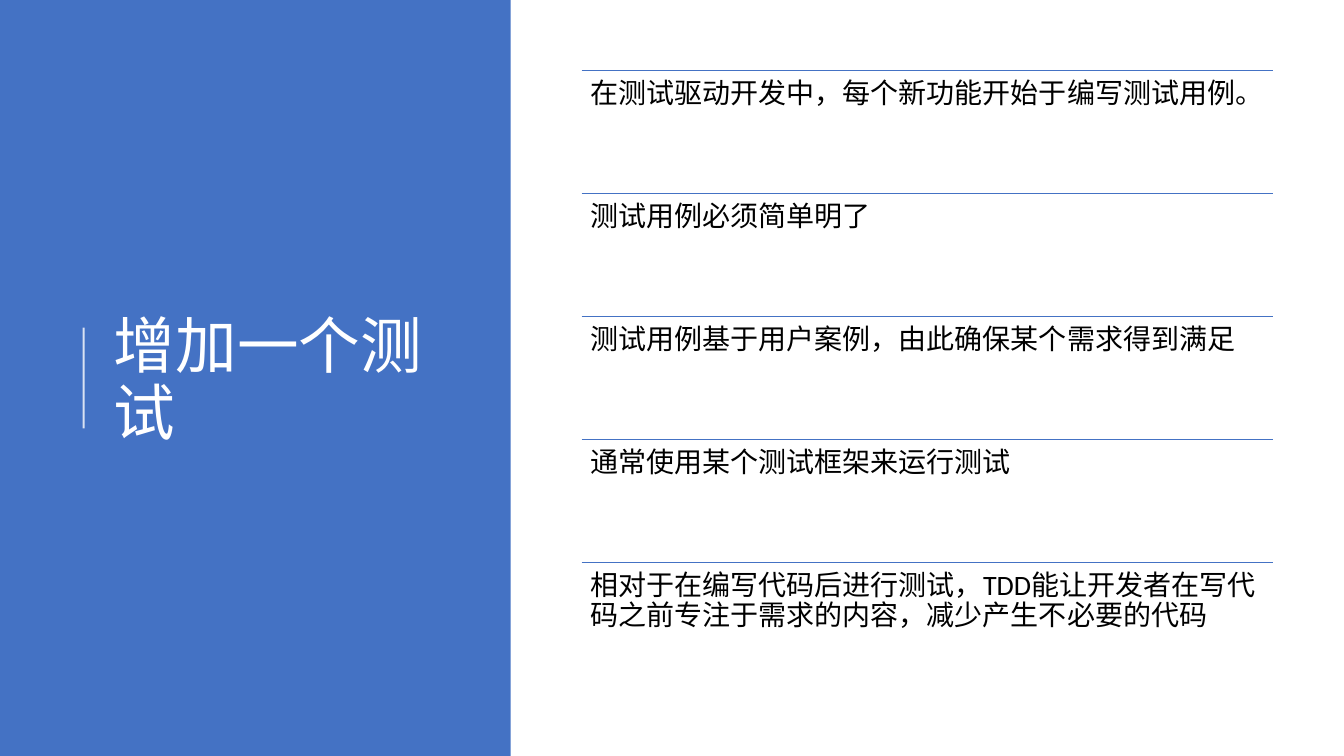
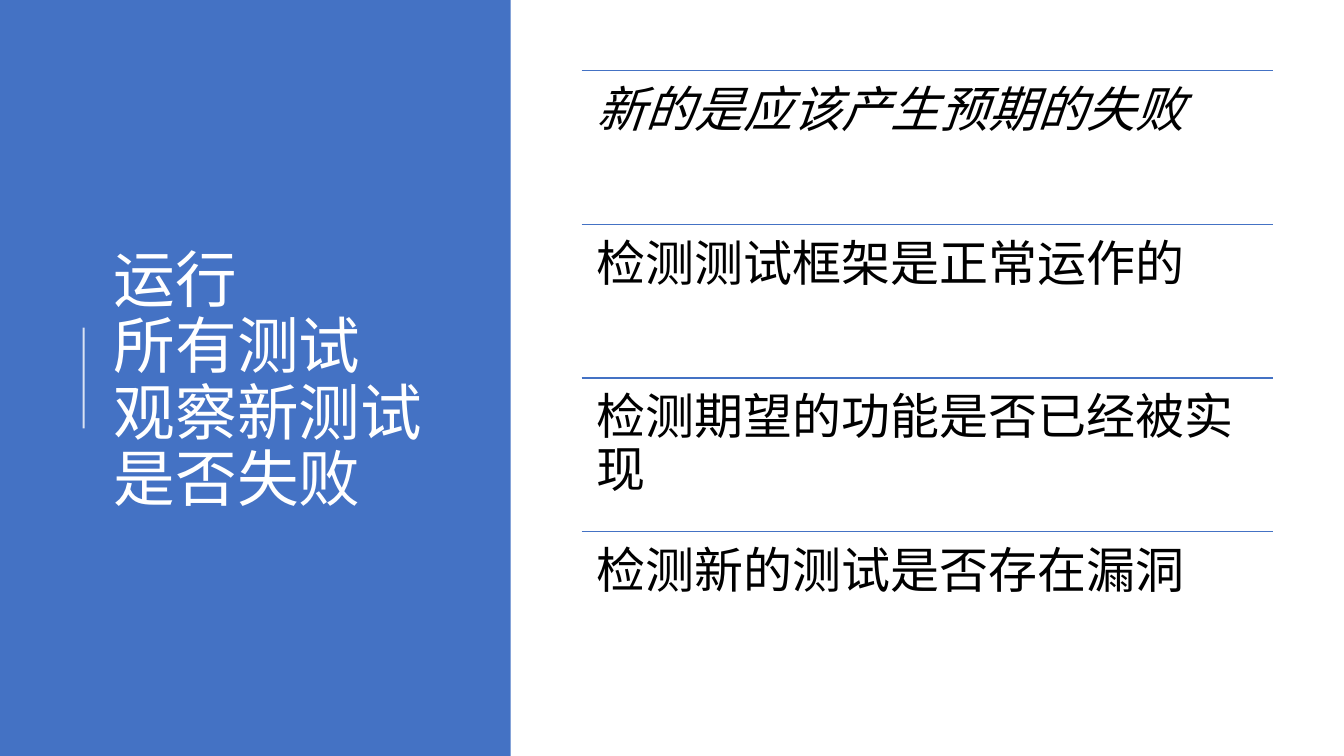
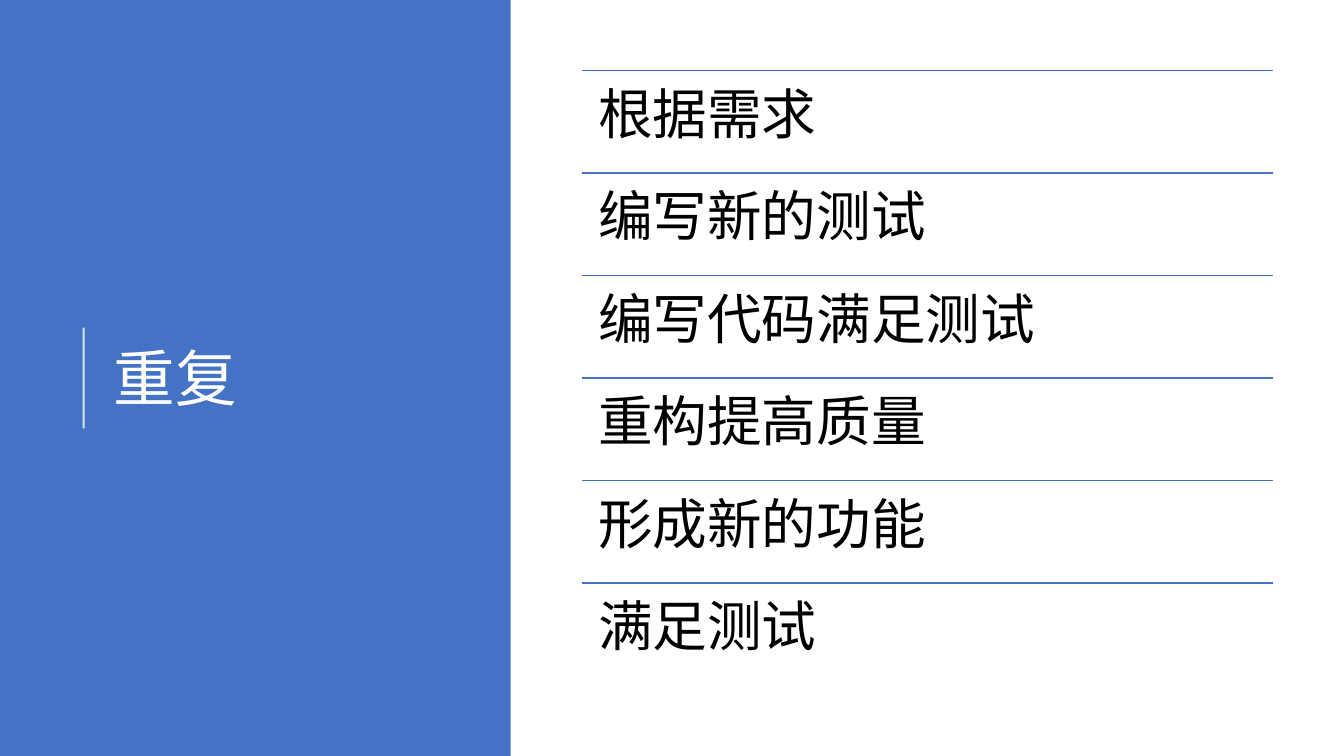
from lxml import etree
from pptx import Presentation
from pptx.dml.color import RGBColor
from pptx.enum import lang, shapes, text
from pptx.oxml import ns
from pptx.util import Inches, Pt

HUES = {"band": "4472C4", "rule": "4472C4", "bar": "FFFFFF",
        "title": "FFFFFF", "body": "000000"}
FONT = "Calibri"
WIDE, HIGH = 13.33, 7.5
BAND = 0.38 * WIDE
LEFT, SPAN = 5.77, 6.86
TOP, DEPTH = 0.7, 6.1

PAGES = [
    ("增加一个测试", 20, [
        "在测试驱动开发中，每个新功能开始于编写测试用例。",
        "测试用例必须简单明了",
        "测试用例基于用户案例，由此确保某个需求得到满足",
        "通常使用某个测试框架来运行测试",
        "相对于在编写代码后进行测试，TDD能让开发者在写代码之前专注于需求的内容，减少产生不必要的代码",
    ], {0: False}),
    ("运行\v所有测试\v观察新测试是否失败", 35, [
        "新的是应该产生预期的失败",
        "检测测试框架是正常运作的",
        "检测期望的功能是否已经被实现",
        "检测新的测试是否存在漏洞",
    ], {0: True}),
    ("重复", 39, [
        "根据需求", "编写新的测试", "编写代码满足测试",
        "重构提高质量", "形成新的功能", "满足测试",
    ], {}),
]


def tint(name):
    return RGBColor.from_string(HUES[name])


def place(shape, x, y, w, h):
    shape.left, shape.top = Inches(x), Inches(y)
    shape.width, shape.height = Inches(w), Inches(h)


def write(shape, words, size, hue, inset=None, anchor="TOP", slant=False):
    frame = shape.text_frame
    frame.word_wrap = True
    frame.auto_size = text.MSO_AUTO_SIZE.NONE
    frame.vertical_anchor = text.MSO_ANCHOR[anchor]
    if inset is not None:
        frame.margin_left = frame.margin_right = inset
        frame.margin_top = frame.margin_bottom = inset
    para = frame.paragraphs[0]
    para.text = words
    para.alignment = text.PP_ALIGN.LEFT
    para.line_spacing = 0.9
    for run in para.runs:
        font = run.font
        font.name, font.size = FONT, Pt(size)
        font.color.rgb = tint(hue)
        font.language_id = lang.MSO_LANGUAGE_ID.SIMPLIFIED_CHINESE
        if slant:
            font.italic = True


def rule(host, start, end, hue, width, alpha=None):
    ends = [Inches(n) for n in (*start, *end)]
    line = host.add_connector(shapes.MSO_CONNECTOR.STRAIGHT, *ends)
    line.line.width = Pt(width)
    line.line.color.rgb = tint(hue)
    props = line._element.spPr
    etree.SubElement(props, ns.qn("a:effectLst"))
    if alpha:
        fill = props.find(".//" + ns.qn("a:srgbClr"))
        etree.SubElement(fill, ns.qn("a:alpha"), val=str(alpha * 1000))


def panel(slide, words):
    band = slide.shapes.add_shape(shapes.MSO_SHAPE.RECTANGLE, 0, 0, 0, 0)
    place(band, 0, 0, BAND, HIGH)
    band.shadow.inherit = False
    band.fill.solid()
    band.fill.fore_color.rgb = tint("band")
    band.line.fill.background()
    rule(slide.shapes, (0.83, 4.25), (0.83, 3.25), "bar", 1.5, alpha=80)
    title = slide.shapes.title
    slide.shapes._spTree.append(title._element)
    place(title, 1.03, 0.78, 3.69, 6.02)
    write(title, words, 44, "title", anchor="MIDDLE")


def rows(slide, items, size, slants):
    group = slide.shapes.add_group_shape().shapes
    step = DEPTH / len(items)
    for i, words in enumerate(items):
        y = TOP + i * step
        rule(group, (LEFT, y), (LEFT + SPAN, y), "rule", 1)
        box = group.add_textbox(*map(Inches, (LEFT, y, SPAN, step)))
        write(box, words, size, "body", inset=Pt(0.3 * size),
              slant=slants.get(i, False))


def main():
    deck = Presentation()
    deck.slide_width, deck.slide_height = Inches(WIDE), Inches(HIGH)
    for title, size, items, slants in PAGES:
        slide = deck.slides.add_slide(deck.slide_layouts[5])
        panel(slide, title)
        rows(slide, items, size, slants)
    deck.save("out.pptx")


main()
